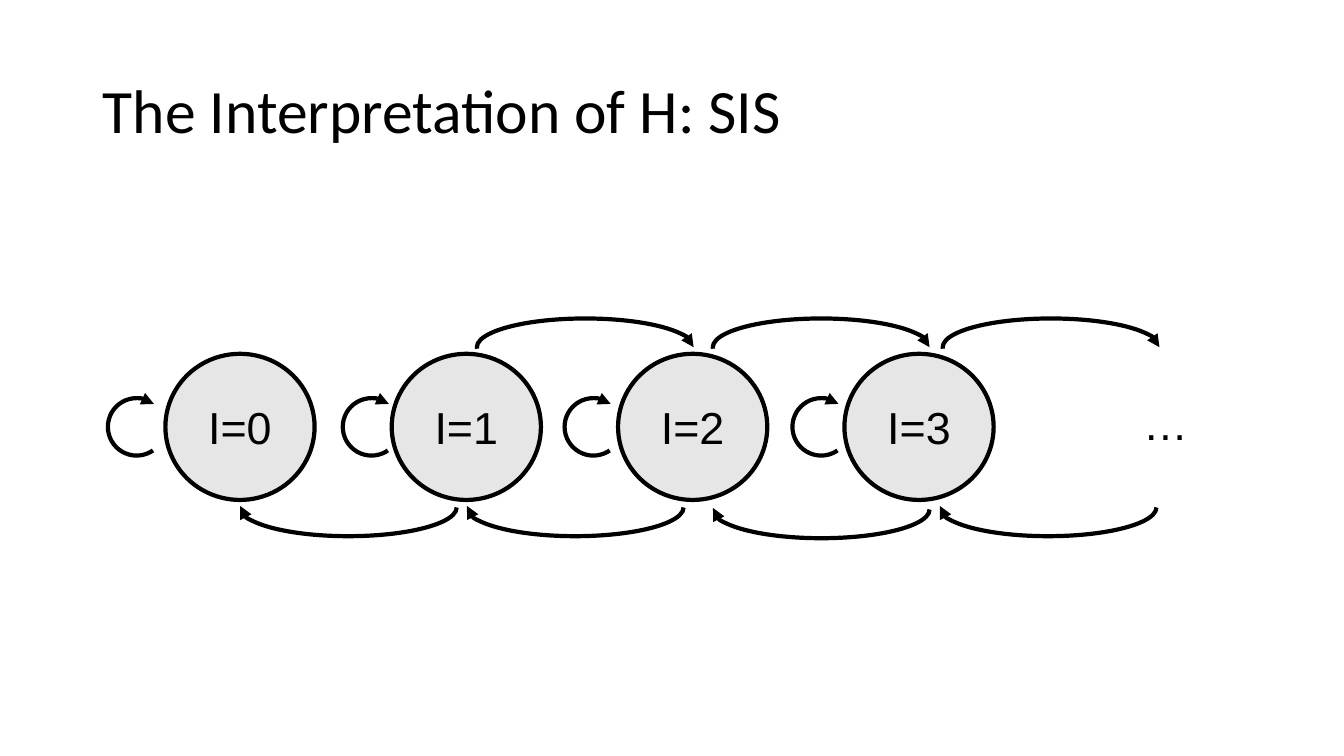
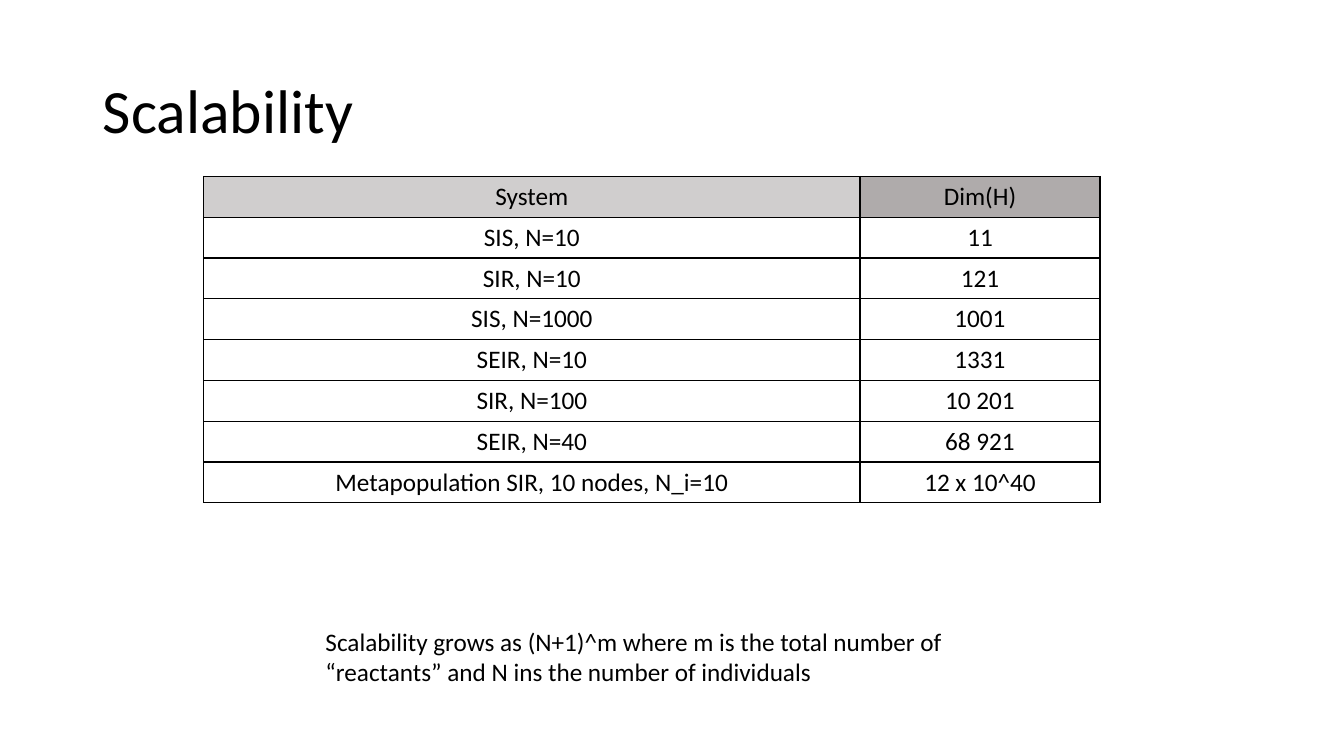
from lxml.etree import SubElement
from pptx import Presentation
from pptx.dml.color import RGBColor
from pptx.enum.shapes import MSO_SHAPE
from pptx.enum.text import MSO_ANCHOR, MSO_AUTO_SIZE, PP_ALIGN
from pptx.oxml.ns import qn
from pptx.util import Inches, Pt

# Shared look
BLACK = RGBColor(0x00, 0x00, 0x00)
DISC = RGBColor(0xE7, 0xE6, 0xE6)
HEADS = [RGBColor(0xD0, 0xCE, 0xCE), RGBColor(0xAF, 0xAB, 0xAB)]
SANS, PLAIN = "Calibri", "Arial"
WIDE, HIGH = 13.33, 7.5

# Content of the state chain
STATES = ["I=0", "I=1", "I=2", "I=3"]
FIRST, STEP, TOP = 1.64, 2.245, 3.51
DISC_SIZE = (1.48, 1.45)
HOP_SIZE, LOOP_SIZE = (2.15, 0.57), (0.57, 0.57)
HOP_TURN, LOOP_TURN = (179.2, 0), (55.3, 307.1)
UP = [(4.73, 3.16), (7.07, 3.16), (9.35, 3.16)]
DOWN = [(2.38, 4.75), (4.63, 4.75), (7.07, 4.77), (9.32, 4.75)]
LOOPS = [(left, 3.95) for left in (1.07, 3.4, 5.6, 7.86)]

# Content of the table
ROWS = [
    ("System", "Dim(H)"),
    ("SIS, N=10", "11"),
    ("SIR, N=10", "121"),
    ("SIS, N=1000", "1001"),
    ("SEIR, N=10", "1331"),
    ("SIR, N=100", "10 201"),
    ("SEIR, N=40", "68 921"),
    ("Metapopulation SIR, 10 nodes, N_i=10", "12 x 10^40"),
]
COLS = [6.51, 2.38]
ROW = 0.405
NOTE = ("Scalability grows as (N+1)^m where m is the total number of "
        "“reactants” and N ins the number of individuals")


def box(spot, size):
    return [Inches(n) for n in (*spot, *size)]


def write(frame, text, size, face, align=PP_ALIGN.LEFT):
    frame.text = text
    para = frame.paragraphs[0]
    para.alignment = align
    font = para.runs[0].font
    font.size, font.name = Pt(size), face
    font.color.rgb = BLACK
    return para


def start(deck, title):
    slide = deck.slides.add_slide(deck.slide_layouts[5])
    head = slide.shapes.title
    head.left, head.top, head.width, head.height = box((0.92, 0.4), (11.5, 1.45))
    head.text_frame.vertical_anchor = MSO_ANCHOR.MIDDLE
    write(head.text_frame, title, 44, SANS).line_spacing = 0.9
    return slide


def draw(slide, kind, spot, size):
    shape = slide.shapes.add_shape(kind, *box(spot, size))
    shape.shadow.inherit = False
    shape.line.color.rgb = BLACK
    shape.line.width = Pt(3)
    return shape


def arc(slide, spot, size, turn, tip="tailEnd", flip=False):
    shape = draw(slide, MSO_SHAPE.ARC, spot, size)
    shape.fill.background()
    for i, angle in enumerate(turn):
        shape.adjustments[i] = angle * 0.6  # 60000 units a degree, in 100000ths
    SubElement(shape.line._get_or_add_ln(), qn("a:" + tip), type="triangle")
    if flip:
        shape._element.spPr.xfrm.set("flipV", "1")


def label(slide, spot, size, text, points, face):
    area = slide.shapes.add_textbox(*box(spot, size))
    area.text_frame.word_wrap = True
    area.text_frame.auto_size = MSO_AUTO_SIZE.SHAPE_TO_FIT_TEXT
    write(area.text_frame, text, points, face)


def edge(cell):
    props = cell._tc.get_or_add_tcPr()
    for side in "LRTB":
        line = SubElement(props, qn("a:ln" + side), w=str(Pt(1)))
        fill = SubElement(line, qn("a:solidFill"))
        SubElement(fill, qn("a:srgbClr"), val=str(BLACK))


def chain(deck):
    slide = start(deck, "The Interpretation of H: SIS")
    for i, state in enumerate(STATES):
        disc = draw(slide, MSO_SHAPE.OVAL, (FIRST + i * STEP, TOP), DISC_SIZE)
        disc.fill.solid()
        disc.fill.fore_color.rgb = DISC
        disc.text_frame.vertical_anchor = MSO_ANCHOR.MIDDLE
        write(disc.text_frame, state, 32, PLAIN, PP_ALIGN.CENTER)
    for spot in UP:
        arc(slide, spot, HOP_SIZE, HOP_TURN)
    for spot in DOWN:
        arc(slide, spot, HOP_SIZE, HOP_TURN, "headEnd", True)
    for spot in LOOPS:
        arc(slide, spot, LOOP_SIZE, LOOP_TURN)
    label(slide, (11.24, 3.88), (0.68, 0.64), "…", 32, PLAIN)


def scale(deck):
    slide = start(deck, "Scalability")
    label(slide, (3.13, 6.16), (6.67, 0.71), NOTE, 18, SANS)
    size = (sum(COLS), ROW * len(ROWS))
    grid = slide.shapes.add_table(len(ROWS), len(COLS), *box((2.02, 1.75), size)).table
    grid.first_row = grid.horz_banding = False
    for col, width in zip(grid.columns, COLS):
        col.width = Inches(width)
    for r, row in enumerate(ROWS):
        for c, text in enumerate(row):
            cell = grid.cell(r, c)
            write(cell.text_frame, text, 18, SANS, PP_ALIGN.CENTER)
            edge(cell)
            if r == 0:
                cell.fill.solid()
                cell.fill.fore_color.rgb = HEADS[c]
            else:
                cell.fill.background()


def main():
    deck = Presentation()
    deck.slide_width, deck.slide_height = Inches(WIDE), Inches(HIGH)
    chain(deck)
    scale(deck)
    deck.save("out.pptx")


if __name__ == "__main__":
    main()
